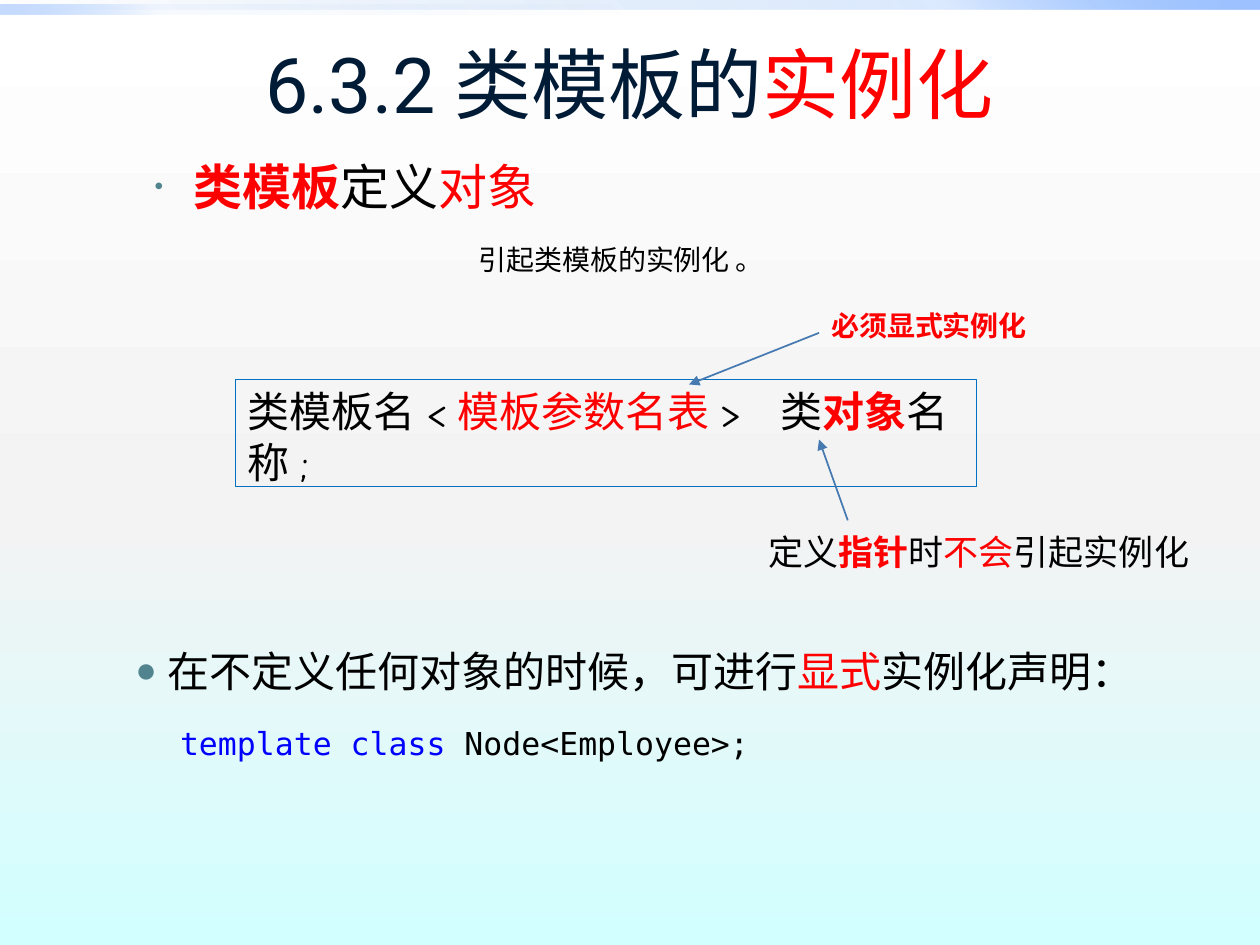
from pptx import Presentation
from pptx.dml.color import RGBColor
from pptx.enum.shapes import MSO_CONNECTOR, MSO_SHAPE
from pptx.enum.text import MSO_ANCHOR, PP_ALIGN
from pptx.oxml.ns import qn
from pptx.util import Cm, Pt
from lxml import etree

RECTANGLE = MSO_SHAPE.RECTANGLE
STRAIGHT = MSO_CONNECTOR.STRAIGHT
TOP, MIDDLE = MSO_ANCHOR.TOP, MSO_ANCHOR.MIDDLE
LEFT, CENTER = PP_ALIGN.LEFT, PP_ALIGN.CENTER

BLACK, RED, NAVY, BLUE = "000000", "FF0000", "001B36", "0000FF"
TEAL, ARROW, BORDER = "51848E", "477AB1", "0070C0"


def color(hex_code):
    return RGBColor.from_string(hex_code)


def add_xml(parent, tag, **attributes):
    child = etree.SubElement(parent, qn(tag))
    for name, value in attributes.items():
        child.set(name, str(value))
    return child


def fill_gradient(fill, element, stops, angle):
    """Stops are (position %, colour, opacity %); angle runs clockwise."""
    fill.gradient()
    fill.gradient_angle = (360 - angle) % 360
    stop_list = element.find(".//" + qn("a:gsLst"))
    for old in list(stop_list):
        stop_list.remove(old)
    for position, hex_code, opacity in stops:
        stop = add_xml(stop_list, "a:gs", pos=position * 1000)
        rgb = add_xml(stop, "a:srgbClr", val=hex_code)
        if opacity < 100:
            add_xml(rgb, "a:alpha", val=opacity * 1000)


def write_runs(tf, runs, font, size, align=LEFT, anchor=TOP, spaced=True,
               indent=(0, 0), bullet=None):
    """Runs are (text, colour, bold); bullet is (character, size %)."""
    tf.word_wrap = True
    tf.vertical_anchor = anchor
    p = tf.paragraphs[0]
    p.alignment = align
    pPr = p._p.get_or_add_pPr()
    margin, first_line = indent
    pPr.set("marL", str(Cm(margin)))
    pPr.set("indent", str(Cm(first_line)))
    if bullet:
        character, percent = bullet
        add_xml(add_xml(pPr, "a:buClr"), "a:srgbClr", val=TEAL)
        add_xml(pPr, "a:buSzPct", val=percent * 1000)
        add_xml(pPr, "a:buFont", typeface="Arial")
        add_xml(pPr, "a:buChar", char=character)
    if spaced:
        p.line_spacing = 1.1
        p.space_after = Pt(6)
    for text, hex_code, bold in runs:
        r = p.add_run()
        r.text = text
        r.font.name = font
        r.font.size = Pt(size)
        r.font.bold = bold
        r.font.color.rgb = color(hex_code)


def add_text(s, box, runs, font, size, **options):
    tb = s.shapes.add_textbox(*map(Cm, box))
    write_runs(tb.text_frame, runs, font, size, **options)


def add_arrow(s, start, end):
    line = s.shapes.add_connector(STRAIGHT, *map(Cm, start + end))
    line.line.color.rgb = color(ARROW)
    line.line.width = Pt(1)
    add_xml(line.line._get_or_add_ln(), "a:tailEnd", type="triangle")
    add_xml(line._element.spPr, "a:effectLst")


def add_band(s, box, opacities, angle):
    band = s.shapes.add_shape(RECTANGLE, *map(Cm, box))
    band.shadow.inherit = False
    band.line.fill.background()
    stops = zip((0, 75, 100), ("0058B7", "4F95FF", "9EC2FF"), opacities)
    fill_gradient(band.fill, band._element, stops, angle)


def add_backdrop(s, width):
    stops = [(0, "FFFFFF", 100), (55, "F3F3F3", 100), (100, "D2FFFF", 100)]
    fill_gradient(s.background.fill, s._element, stops, 90)
    add_band(s, (0, 0, width, 0.2), (0, 20, 100), 315)
    add_band(s, (0, 0.1, width / 2, 0.2), (0, 5, 60), 135)


def add_title(s, box):
    runs = [("6.3.2类模板的", NAVY, False), ("实例化", RED, False)]
    add_text(s, box, runs, "Roboto", 44, align=CENTER, anchor=MIDDLE)


def add_syntax_box(s, box):
    syntax = s.shapes.add_shape(RECTANGLE, *map(Cm, box))
    syntax.shadow.inherit = False
    syntax.fill.background()
    syntax.line.color.rgb = color(BORDER)
    syntax.line.width = Pt(0.75)
    runs = [("类模板名<", BLACK, False), ("模板参数名表", RED, False),
            (">  类", BLACK, False), ("对象", RED, True),
            ("名称;", BLACK, False)]
    write_runs(syntax.text_frame, runs, "Comic Neue", 24, spaced=False)


def add_object_definition(s, box):
    x, y, w, h = box
    heading = [("类模板", RED, True), ("定义", BLACK, False),
               ("对象", RED, False)]
    add_text(s, (x, y, 21.59, 1.7), heading, "Cambria", 28,
             indent=(2.06, -0.79), bullet=("•", 50))
    add_syntax_box(s, (x + 3.15, y + 4.73, 14.94, 2.16))
    add_text(s, (x + 13.64, y + 3.1, 7.82, 1.4),
             [("必须显式实例化", RED, True)], "Roboto", 16, indent=(1.27, 0))
    add_text(s, (x + 6.53, y + 1.78, 10.57, 1.4),
             [("引起类模板的实例化 。", BLACK, False)], "Roboto", 16,
             indent=(1.27, 0))
    add_arrow(s, (x + 14.91, y + 3.79), (x + 12.29, y + 4.83))
    pointer = [("定义", BLACK, False), ("指针", RED, True),
               ("时", BLACK, False), ("不会", RED, False),
               ("引起实例化", BLACK, False)]
    add_text(s, (x + 13.64, y + 7.57, w - 13.64, h - 7.57), pointer,
             "Roboto", 20)
    add_arrow(s, (x + 15.49, y + 7.57), (x + 14.91, y + 5.94))


def add_explicit_declaration(s, box):
    x, y, w, h = box
    rule = [("在不定义任何对象的时候，可进行", BLACK, False),
            ("显式", RED, False), ("实例化声明：", BLACK, False)]
    add_text(s, (x, y, w, 1.4), rule, "Comic Neue", 24,
             indent=(1.52, -0.64), bullet=("●", 85))
    code = [("template class", BLUE, False),
            (" Node<Employee>;", BLACK, False)]
    add_text(s, (x + 1.78, y + 1.7, 16.71, h - 1.7), code,
             "DejaVu Sans Mono", 18, spaced=False)


def main():
    prs = Presentation()
    prs.slide_width, prs.slide_height = Cm(25.4), Cm(19.05)
    s = prs.slides.add_slide(prs.slide_layouts[6])
    add_backdrop(s, 25.4)
    add_title(s, (1.9, 0.41, 21.59, 2.31))
    add_object_definition(s, (1.6, 2.92, 22.71, 8.76))
    add_explicit_declaration(s, (1.6, 12.78, 22.3, 2.72))
    prs.save("out.pptx")


if __name__ == "__main__":
    main()
